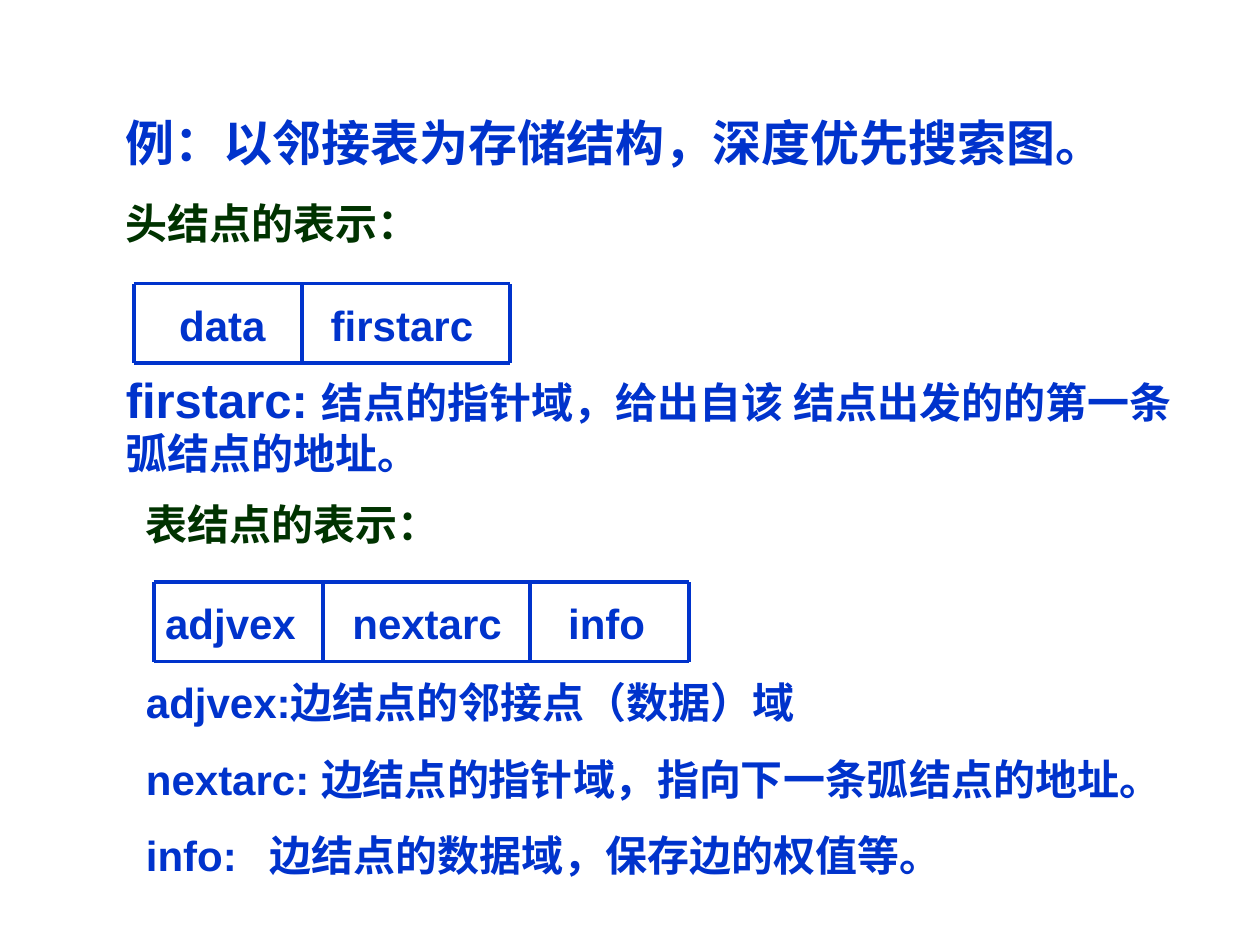
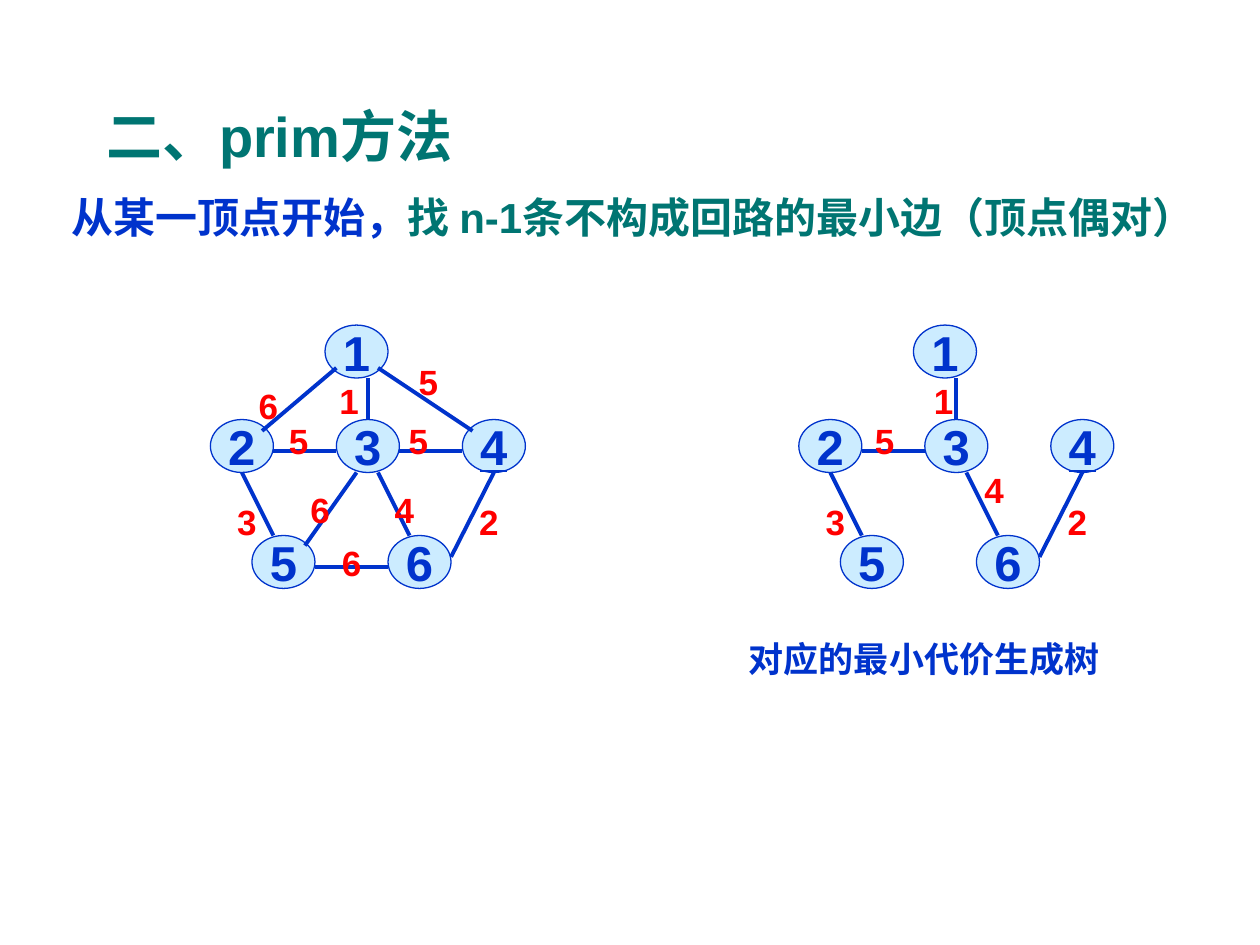
from lxml.etree import SubElement
from pptx import Presentation
from pptx.dml.color import RGBColor
from pptx.enum.shapes import MSO_CONNECTOR as Connector, MSO_SHAPE as Shape
from pptx.enum.text import MSO_ANCHOR as Anchor, MSO_AUTO_SIZE as AutoSize, PP_ALIGN as Align
from pptx.oxml.ns import qn
from pptx.util import Inches, Pt

COLORS = {"blue": "0033CC", "green": "003300", "teal": "007572",
          "red": "FF0000", "node": "CCECFF"}


def write_text(shape, paragraphs, align=Align.LEFT, space=0, **frame_format):
    """Each paragraph is a list of (text, size, color) runs."""
    frame = shape.text_frame
    frame_values = {"word_wrap": True, "auto_size": AutoSize.SHAPE_TO_FIT_TEXT,
                    "vertical_anchor": Anchor.TOP} | frame_format
    for name, value in frame_values.items():
        setattr(frame, name, value)
    for index, runs in enumerate(paragraphs):
        paragraph = frame.add_paragraph() if index else frame.paragraphs[0]
        paragraph.alignment = align
        if index:
            paragraph.space_before = Pt(space)
        for text, size, color in runs:
            run = paragraph.add_run()
            run.text = text
            for name, value in {"name": "Arial", "size": Pt(size), "bold": True}.items():
                setattr(run.font, name, value)
            run.font.color.rgb = RGBColor.from_string(COLORS[color])
    return frame


def add_line(slide, x1, y1, x2, y2):
    line = slide.shapes.add_connector(
        Connector.STRAIGHT, Inches(x1), Inches(y1), Inches(x2), Inches(y2))
    line.line.color.rgb = RGBColor.from_string(COLORS["blue"])
    line.line.width = Pt(2.25)
    SubElement(line._element.spPr, qn("a:effectLst"))


presentation = Presentation()
presentation.slide_width, presentation.slide_height = Inches(10), Inches(7.5)
blank = presentation.slide_layouts[6]

# Slide 1: node structures of the adjacency list
slide = presentation.slides.add_slide(blank)

# Record boxes: column edges, top, bottom
for edges, top, bottom in [((1.06, 2.4, 4.05), 2.25, 2.88),
                           ((1.22, 2.56, 4.21, 5.47), 4.62, 5.25)]:
    for y in (top, bottom):
        add_line(slide, edges[0], y, edges[-1], y)
    for x in edges:
        add_line(slide, x, bottom, x, top)

# Field names
for name, left, top, width, wrap in [
        ("data", 1.14, 2.33, 1.25, True), ("firstarc", 2.48, 2.33, 1.42, True),
        ("adjvex", 1.21, 4.69, 1.24, False), ("nextarc", 2.67, 4.69, 1.44, False),
        ("info", 4.41, 4.69, 0.81, False)]:
    box = slide.shapes.add_textbox(Inches(left), Inches(top), Inches(width), Inches(0.5))
    write_text(box, [[(name, 24, "blue")]], Align.CENTER, word_wrap=wrap)

# Headings and explanations
for place, paragraphs in [
        ((0.9, 0.84, 8.11, 1.18), [[("例：以邻接表为存储结构，深度优先搜索图。", 28, "blue")],
                                   [("头结点的表示：", 24, "green")]]),
        ((0.9, 2.88, 8.66, 0.97), [[
            ("firstarc: ", 28, "blue"),
            ("结点的指针域，给出自该 结点出发的的第一条弧结点的地址。", 24, "blue")]]),
        ((1.06, 3.91, 5.57, 0.5), [[("表结点的表示：", 24, "green")]]),
        ((1.06, 5.32, 8.58, 1.72), [
            [("adjvex:边结点的邻接点（数据）域", 24, "blue")],
            [("nextarc: 边结点的指针域，指向下一条弧结点的地址。", 24, "blue")],
            [("info:\t边结点的数据域，保存边的权值等。", 24, "blue")]])]:
    box = slide.shapes.add_textbox(*map(Inches, place))
    frame = write_text(box, paragraphs, space=15)

# Tab stop after "info:" in the last explanation
tab_list = SubElement(frame.paragraphs[-1]._p.get_or_add_pPr(), qn("a:tabLst"))
SubElement(tab_list, qn("a:tab"), pos=str(Inches(0.98)), algn="l")

# Slide 2: Prim's method
slide = presentation.slides.add_slide(blank)

title = slide.shapes.add_textbox(Inches(0.75), Inches(0.77), Inches(7.84), Inches(0.61))
write_text(title, [[("二、prim方法", 32, "teal")]],
           vertical_anchor=Anchor.MIDDLE, auto_size=AutoSize.NONE)
summary = slide.shapes.add_textbox(Inches(0.25), Inches(1.47), Inches(9.75), Inches(0.5))
write_text(summary, [[("从某一顶点开始，", 24, "blue"),
                      ("找 n-1条不构成回路的最小边（顶点偶对）", 24, "teal")]],
           margin_left=Inches(0.32))

vertices = {"1": (2.58, 2.58), "2": (1.67, 3.33), "3": (2.67, 3.33),
            "4": (3.67, 3.33), "5": (2, 4.25), "6": (3.08, 4.25)}
tree_edges = [(2.17, 3.58, 2.67, 3.58), (2.92, 3, 2.92, 3.33), (1.92, 3.75, 2.17, 4.25),
              (3, 3.75, 3.25, 4.25), (3.58, 4.42, 3.92, 3.75)]
other_edges = [(3.17, 3.58, 3.67, 3.58), (2.42, 4.33, 2.83, 3.75), (2.5, 4.5, 3.08, 4.5),
               (2.08, 3.42, 2.67, 2.92), (3.75, 3.42, 3, 2.92)]
shared_weights = [("3", 1.75, 3.92), ("2", 3.67, 3.92)]
graph_weights = [("6", 1.92, 3), ("1", 2.56, 2.96), ("6", 2.58, 4.25), ("5", 3.19, 2.81),
                 ("5", 2.16, 3.28), ("5", 3.11, 3.28), ("6", 2.33, 3.83), ("4", 3, 3.83)]
tree_weights = [("1", 2.61, 2.96), ("5", 2.14, 3.28), ("4", 3.01, 3.67)]

# Full graph on the left, spanning tree on the right
for shift, edges, weights in [(0, tree_edges + other_edges, shared_weights + graph_weights),
                              (4.67, tree_edges, shared_weights + tree_weights)]:
    for number, (left, top) in vertices.items():
        vertex = slide.shapes.add_shape(
            Shape.OVAL, Inches(left + shift), Inches(top), Inches(0.5), Inches(0.42))
        vertex.shadow.inherit = False
        vertex.fill.solid()
        vertex.fill.fore_color.rgb = RGBColor.from_string(COLORS["node"])
        vertex.line.color.rgb = RGBColor.from_string(COLORS["blue"])
        vertex.line.width = Pt(0.75)
        frame = write_text(vertex, [[(number, 28, "blue")]], Align.CENTER, word_wrap=False,
                           auto_size=AutoSize.NONE, vertical_anchor=Anchor.MIDDLE)
        if number == "4":
            frame.paragraphs[0].runs[0].font.underline = True
    for x1, y1, x2, y2 in edges:
        add_line(slide, x1 + shift, y1, x2 + shift, y2)
    for weight, left, top in weights:
        box = slide.shapes.add_textbox(
            Inches(left + shift), Inches(top), Inches(0.42), Inches(0.44))
        write_text(box, [[(weight, 20, "red")]], Align.CENTER)

caption = slide.shapes.add_textbox(Inches(5.71), Inches(5.01), Inches(3.25), Inches(0.44))
write_text(caption, [[("对应的最小代价生成树", 20, "blue")]], Align.CENTER)

presentation.save("out.pptx")
